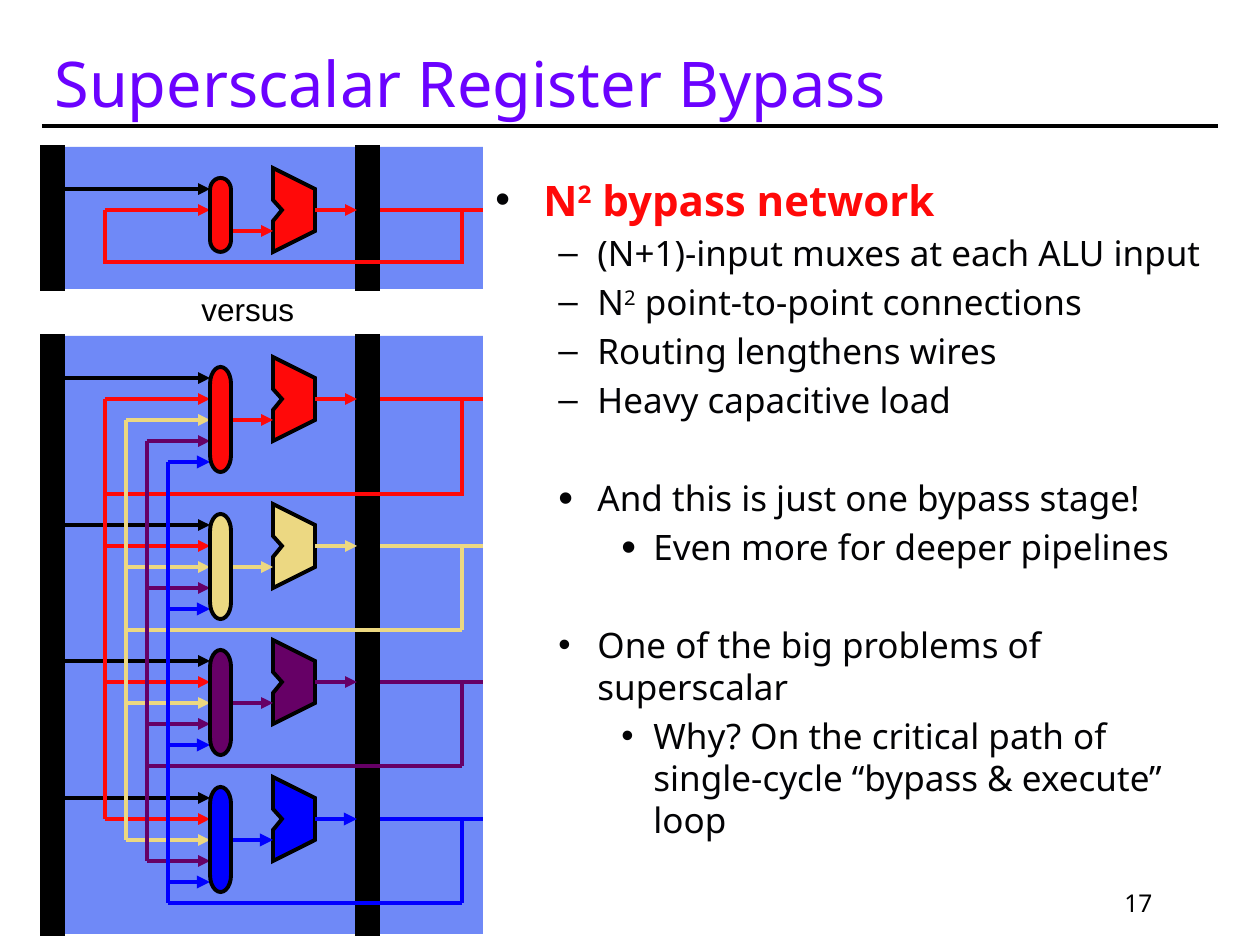
from lxml import etree
from pptx import Presentation, util as u
from pptx.dml.color import RGBColor
from pptx.enum import shapes, text
from pptx.oxml import ns

PX = 914400 / 126
BLACK = RGBColor(0, 0, 0)
INK = RGBColor(0x03, 0x03, 0x05)
VIOLET = RGBColor(0x6B, 0x02, 0xFF)
PANEL = RGBColor(0x6F, 0x89, 0xF7)
RED = RGBColor(0xFF, 0x09, 0x09)
SAND = RGBColor(0xEC, 0xD8, 0x82)
PURPLE = RGBColor(0x66, 0x00, 0x66)
BLUE = RGBColor(0, 0, 0xFF)

GRID = 21           # spacing of mux inputs and of bypass buses
BUS_X = 105
MUX_X = 210
ALU_X = 273
REGISTER_X = (42, 357)
FEEDBACK_X = 462
PANEL_RIGHT = 483


def emu(px):
    return u.Emu(round(px * PX))


def add_xml(parent, tag, **attributes):
    return etree.SubElement(parent, ns.qn(tag), attributes)


class Canvas:
    font = "Noto Sans"
    bullet_font = "Arial"
    line_width = 2.25

    def __init__(self, slide):
        self.shapes = slide.shapes

    def paint(self, shape, fill, line):
        shape.shadow.inherit = False
        if fill is None:
            shape.fill.background()
        else:
            shape.fill.solid()
            shape.fill.fore_color.rgb = fill
        if line is None:
            shape.line.fill.background()
        else:
            shape.line.color.rgb = line
            shape.line.width = u.Pt(self.line_width)
            add_xml(shape.line._get_or_add_ln(), "a:miter", lim="800000")

    def box(self, kind, left, top, width, height, fill, line=None):
        shape = self.shapes.add_shape(kind, *map(emu, (left, top, width, height)))
        self.paint(shape, fill, line)
        return shape

    def outline(self, points, line, fill=None):
        """Draw a polygon if it has a fill, else an open path."""
        builder = self.shapes.build_freeform(*points[0], scale=PX)
        builder.add_line_segments(points[1:], close=fill is not None)
        self.paint(builder.convert_to_shape(), fill, line)

    def wire(self, x1, y1, x2, y2, color, arrow=False):
        connector = self.shapes.add_connector(
            shapes.MSO_CONNECTOR.STRAIGHT, *map(emu, (x1, y1, x2, y2)))
        connector.line.color.rgb = color
        connector.line.width = u.Pt(2.5 if color == BLUE else self.line_width)
        if arrow:
            add_xml(connector.line._get_or_add_ln(), "a:tailEnd", type="triangle")
        add_xml(connector._element.spPr, "a:effectLst")

    def text_frame(self, left, top, width, height, anchor=text.MSO_ANCHOR.TOP, wrap=True):
        frame = self.shapes.add_textbox(*map(emu, (left, top, width, height))).text_frame
        frame.word_wrap = wrap
        frame.vertical_anchor = anchor
        return frame

    def run(self, paragraph, words, size, color, bold=False, font=None, raised=False):
        run = paragraph.add_run()
        run.text = words
        run.font.name = font or self.font
        run.font.size = u.Pt(size)
        run.font.bold = bold
        run.font.color.rgb = color
        if raised:
            run.font._element.set("baseline", "30000")

    def bullet(self, paragraph, level, mark, size):
        margin, hanging = ((48, 48), (102, 39), (158, 32))[level]
        paragraph.level = level
        properties = paragraph._p.get_or_add_pPr()
        properties.set("marL", str(emu(margin)))
        properties.set("indent", str(-emu(hanging)))
        add_xml(add_xml(properties, "a:buClr"), "a:srgbClr", val=str(INK))
        add_xml(properties, "a:buSzPct", val=str(size * 1000))
        add_xml(properties, "a:buFont", typeface=self.bullet_font)
        add_xml(properties, "a:buChar", char=mark)

    def alu(self, top, color):
        steps = ((0, 0), (0, 32), (9, 42), (0, 53), (0, 84), (42, 63), (42, 21))
        self.outline([(ALU_X + x, top + y) for x, y in steps], BLACK, color)

    def mux(self, top, length, color):
        shape = self.box(shapes.MSO_SHAPE.FLOWCHART_TERMINATOR,
                         MUX_X + (GRID - length) / 2, top + (length - GRID) / 2,
                         length, GRID, color, BLACK)
        shape.rotation = 90

    def pipeline(self, top, height, mux_length, lanes):
        """Draw a stage; each lane is (ALU top, feedback y, color)."""
        rectangle = shapes.MSO_SHAPE.RECTANGLE
        left, right = REGISTER_X
        self.box(rectangle, left + GRID, top, PANEL_RIGHT - left - GRID, height, PANEL)
        colors = [color for _, _, color in lanes]
        for lane_top, _, color in lanes:
            first_input, output = lane_top + GRID, lane_top + 2 * GRID
            self.alu(lane_top, color)
            self.wire(MUX_X + GRID, output + GRID, ALU_X, output + GRID, color, arrow=True)
            for i, source in enumerate(colors):
                y = output + i * GRID
                self.wire(BUS_X + i * GRID, y, MUX_X, y, source, arrow=True)
            self.mux(lane_top + 10, mux_length, color)
            self.wire(left + GRID, first_input, MUX_X, first_input, BLACK, arrow=True)
            self.wire(right + GRID, output, PANEL_RIGHT, output, color)
        for x in REGISTER_X:
            self.box(rectangle, x, top, GRID, height, BLACK, BLACK)
        first_output, last_output = lanes[0][0] + 2 * GRID, lanes[-1][0] + 2 * GRID
        for i, (lane_top, feedback, color) in enumerate(lanes):
            output, bus = lane_top + 2 * GRID, BUS_X + i * GRID
            self.wire(ALU_X + 42, output, right, output, color, arrow=True)
            if i == 0:
                self.outline([(FEEDBACK_X, output), (FEEDBACK_X, feedback),
                              (bus, feedback), (bus, output)], color)
                bus_top = feedback
            else:
                self.wire(FEEDBACK_X, output, FEEDBACK_X, feedback, color)
                self.wire(FEEDBACK_X, feedback, bus, feedback, color)
                bus_top = first_output + i * GRID
            bus_bottom = max(feedback, last_output + i * GRID)
            if bus_bottom > bus_top:
                self.wire(bus, bus_top, bus, bus_bottom, color)


# level, bullet, bullet size in percent, space before in points, words
POINTS = (
    (1, "–", 100, 4, ("(N+1)-input muxes at each ALU input",)),
    (1, "–", 100, 4, ("N", "2", " point-to-point connections")),
    (1, "–", 100, 4, ("Routing lengthens wires",)),
    (1, "–", 100, 4, ("Heavy capacitive load",)),
    (1, "•", 120, 32, ("And this is just one bypass stage!",)),
    (2, "•", 120, 4, ("Even more for deeper pipelines",)),
    (1, "•", 100, 32, ("One of the big problems of superscalar",)),
    (2, "•", 100, 4, ("Why? On the critical path of ",
                      "\n", "single-cycle “bypass & execute” loop")),
)


def add_points(canvas):
    frame = canvas.text_frame(483, 168, 735, 693)
    heading = (0, "•", 100, 4.8, ("N", "2", " bypass network"))
    for i, (level, mark, mark_size, space, words) in enumerate((heading, *POINTS)):
        paragraph = frame.add_paragraph() if i else frame.paragraphs[0]
        paragraph.space_before = u.Pt(space)
        canvas.bullet(paragraph, level, mark, mark_size)
        size, color, bold = (20, INK, False) if level else (24, RED, True)
        for word in words:
            if word == "\n":
                paragraph.add_line_break()
            else:
                canvas.run(paragraph, word, size, color, bold, raised=word == "2")


def main():
    presentation = Presentation()
    presentation.slide_width, presentation.slide_height = emu(1260), emu(945)
    canvas = Canvas(presentation.slides.add_slide(presentation.slide_layouts[6]))

    canvas.wire(42, 126, 1218, 126, BLACK)
    bottom = text.MSO_ANCHOR.BOTTOM
    title = canvas.text_frame(42, 32, 1102, 94, bottom)
    canvas.run(title.paragraphs[0], "Superscalar Register Bypass", 36, VIOLET)
    add_points(canvas)

    canvas.pipeline(336, 598, 105, (
        (357, 494, RED), (504, 630, SAND), (640, 766, PURPLE), (777, 903, BLUE)))
    canvas.pipeline(147, 142, 74, ((168, 262, RED),))
    versus = canvas.text_frame(189, 284, 128, 50, wrap=False)
    canvas.run(versus.paragraphs[0], "versus", 18, BLACK, font="Arial")

    number = canvas.text_frame(903, 882, 262, 42, bottom).paragraphs[0]
    number.alignment = text.PP_ALIGN.RIGHT
    canvas.run(number, "17", 14, BLACK)
    presentation.save("out.pptx")


if __name__ == "__main__":
    main()
